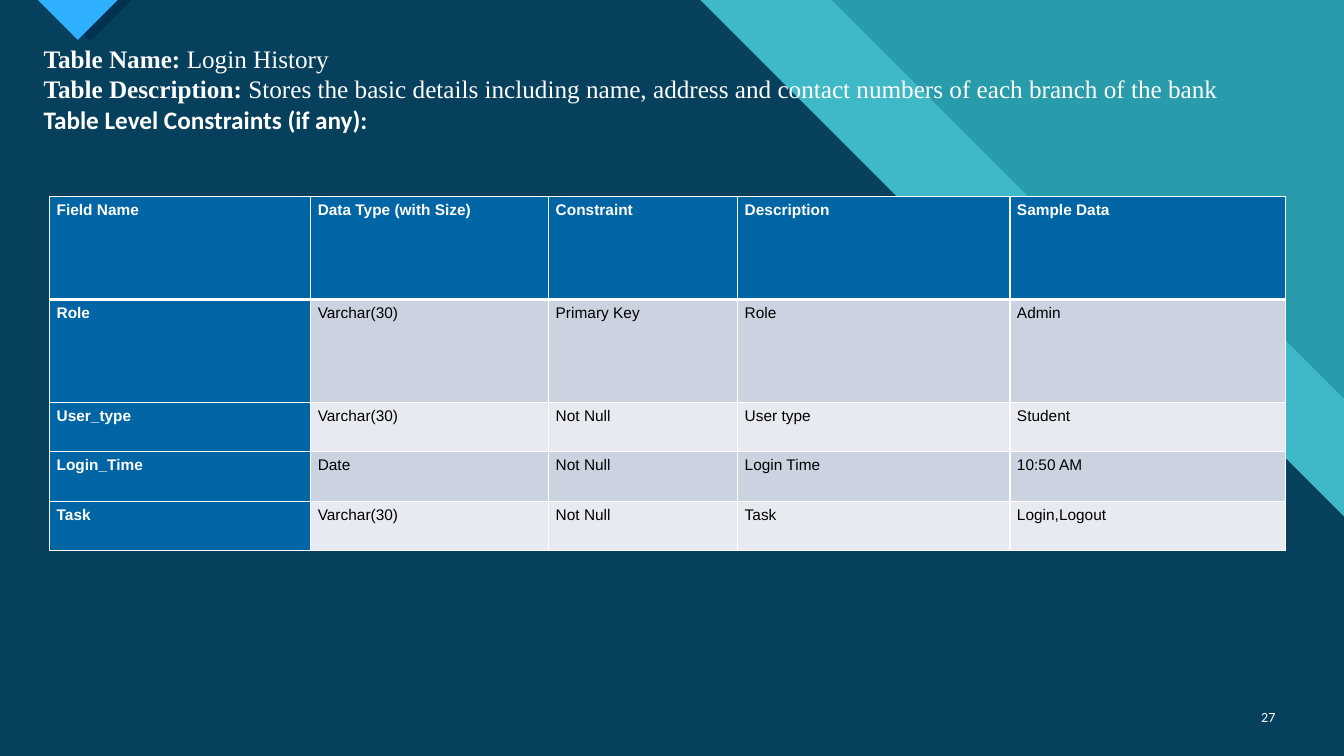
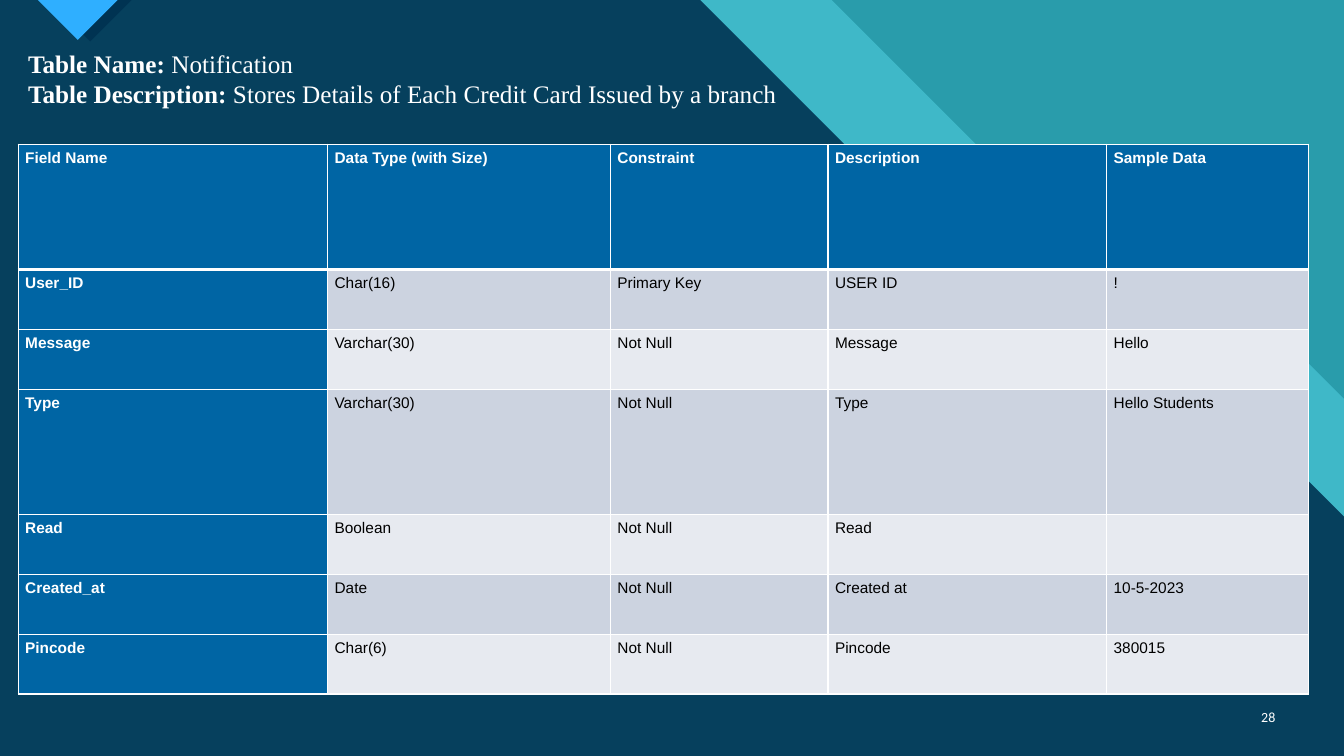
from pptx import Presentation
from pptx.dml.color import RGBColor
from pptx.enum import text
from pptx.oxml.ns import qn
from pptx.util import Pt
from lxml import etree

WIDTH, HEIGHT = 960, 540

WHITE = RGBColor(0xFF, 0xFF, 0xFF)
BLACK = RGBColor(0x00, 0x00, 0x00)
TEAL = RGBColor(0x29, 0x9C, 0xAB)
AQUA = RGBColor(0x47, 0xC3, 0xD3)
NAVY = RGBColor(0x00, 0x33, 0x52)
SKY = RGBColor(0x2F, 0xAF, 0xFF)
HEADING_BLUE = RGBColor(0x00, 0x65, 0xA4)
ROW_BANDS = (RGBColor(0xCC, 0xD3, 0xE0), RGBColor(0xE7, 0xEA, 0xF0))

SERIF, SANS, CELL_FONT = "Times New Roman", "Calibri", "Arial"

# Outline points, fill and opacity in percent, from back to front
BACKDROP = (
    ([(0, 0), (594, 0), (808, 214), (889, 214), (WIDTH, 285),
      (WIDTH, HEIGHT), (0, HEIGHT)], AQUA, 74),
    ([(0, 0), (500, 0), (714, 214), (805, 214), (WIDTH, 369),
      (WIDTH, HEIGHT), (0, HEIGHT)], NAVY, 90),
    ([(35, 0), (94, 0), (64.5, 29.5)], NAVY, 100),
    ([(27, 0), (84, 0), (55.5, 28.5)], SKY, 100),
)

HEADINGS = ("Field Name", "Data Type (with Size)", "Constraint",
            "Description", "Sample Data")
LOGIN_ROWS = (
    ("Role", "Varchar(30)", "Primary Key", "Role", "Admin"),
    ("User_type", "Varchar(30)", "Not Null", "User type", "Student"),
    ("Login_Time", "Date", "Not Null", "Login Time", "10:50 AM"),
    ("Task", "Varchar(30)", "Not Null", "Task", "Login,Logout"),
)
NOTIFICATION_ROWS = (
    ("User_ID", "Char(16)", "Primary Key", "USER ID", "!"),
    ("Message", "Varchar(30)", "Not Null", "Message", "Hello"),
    ("Type", "Varchar(30)", "Not Null", "Type", "Hello Students"),
    ("Read", "Boolean", "Not Null", "Read", ""),
    ("Created_at", "Date", "Not Null", "Created at", "10-5-2023"),
    ("Pincode", "Char(6)", "Not Null", "Pincode", "380015"),
)


def add_span(para, words, font, size, color, bold=False):
    span = para.add_run()
    span.text = words
    span.font.name = font
    span.font.size = Pt(size)
    span.font.color.rgb = color
    span.font.bold = bold


def add_polygon(slide, points, color, opacity):
    corners = [(Pt(x), Pt(y)) for x, y in points]
    builder = slide.shapes.build_freeform(*corners[0], scale=1.0)
    builder.add_line_segments(corners[1:], close=True)
    shape = builder.convert_to_shape()
    shape.shadow.inherit = False
    shape.line.fill.background()
    shape.fill.solid()
    shape.fill.fore_color.rgb = color
    if opacity < 100:
        tint = shape.element.xpath(".//a:solidFill/a:srgbClr")[0]
        etree.SubElement(tint, qn("a:alpha"), val=str(opacity * 1000))
    return shape


def dress_layout(layout, slide):
    """Draw the backdrop on a slide, then move it to the layout."""
    layout.background.fill.solid()
    layout.background.fill.fore_color.rgb = TEAL
    for holder in list(layout.placeholders):
        layout.shapes.element.remove(holder.element)
    for shape in [add_polygon(slide, *part) for part in BACKDROP]:
        layout.shapes.element.append(shape.element)


def add_box(slide, left, top, width, height, anchor):
    box = slide.shapes.add_textbox(Pt(left), Pt(top), Pt(width), Pt(height))
    box.text_frame.word_wrap = True
    box.text_frame.vertical_anchor = anchor
    return box.text_frame


def add_title(slide, left, top, width, lines):
    """Write lines of (label, value, font), with the label in bold."""
    frame = add_box(slide, left, top, width, 73, text.MSO_ANCHOR.TOP)
    for number, (label, value, font) in enumerate(lines):
        para = frame.add_paragraph() if number else frame.paragraphs[0]
        add_span(para, label, font, 18, WHITE, bold=True)
        if value:
            add_span(para, " " + value, font, 18, WHITE)


def add_page_number(slide, number):
    frame = add_box(slide, 886, 497.5, 32, 29, text.MSO_ANCHOR.MIDDLE)
    para = frame.paragraphs[0]
    para.alignment = text.PP_ALIGN.RIGHT
    add_span(para, str(number), SANS, 10, WHITE)


def set_borders(cell, **weights):
    """Draw white borders; weights go by side: L, R, T, B."""
    properties = cell._tc.get_or_add_tcPr()
    for side, weight in weights.items():
        line = etree.SubElement(properties, qn("a:ln" + side), w=str(Pt(weight)))
        fill = etree.SubElement(line, qn("a:solidFill"))
        etree.SubElement(fill, qn("a:srgbClr"), val=str(WHITE))


def fill_cell(cell, words, row, column):
    is_heading = row == 0 or column == 0
    set_borders(cell, L=1, R=1, T=3 if row == 1 else 1, B=3 if row == 0 else 1)
    cell.fill.solid()
    cell.fill.fore_color.rgb = HEADING_BLUE if is_heading else ROW_BANDS[(row - 1) % 2]
    cell.margin_left = cell.margin_right = Pt(5)
    cell.margin_top = cell.margin_bottom = Pt(0)
    if words:
        para = cell.text_frame.paragraphs[0]
        para.line_spacing = 1.3
        para.space_after = Pt(8)
        add_span(para, words, CELL_FONT, 11, WHITE if is_heading else BLACK, is_heading)


def add_field_table(slide, left, top, widths, heights, body):
    rows = (HEADINGS, *body)
    table = slide.shapes.add_table(
        len(rows), len(widths), Pt(left), Pt(top),
        Pt(sum(widths)), Pt(sum(heights))).table
    table.first_col = True
    for column, width in zip(table.columns, widths):
        column.width = Pt(width)
    for row, height in zip(table.rows, heights):
        row.height = Pt(height)
    for row, entries in enumerate(rows):
        for column, words in enumerate(entries):
            fill_cell(table.cell(row, column), words, row, column)


def main():
    deck = Presentation()
    deck.slide_width, deck.slide_height = Pt(WIDTH), Pt(HEIGHT)
    blank = deck.slide_layouts[6]

    login = deck.slides.add_slide(blank)
    dress_layout(blank, login)
    add_title(login, 24, 27.5, 862, (
        ("Table Name:", "Login History", SERIF),
        ("Table Description:", "Stores the basic details including name, address "
         "and contact numbers of each branch of the bank", SERIF),
        ("Table Level Constraints (if any): ", "", SANS),
    ))
    add_field_table(login, 35.5, 140.5, (186.5, 170, 135, 194.5, 197),
                    [73.5] * 2 + [35.25] * 3, LOGIN_ROWS)
    add_page_number(login, 27)

    notification = deck.slides.add_slide(blank)
    add_field_table(notification, 13, 103, (221, 202, 155.5, 199, 144),
                    [89.5, 42.75, 42.75, 89.5] + [42.75] * 3, NOTIFICATION_ROWS)
    add_title(notification, 13, 31, 555, (
        ("Table Name:", "Notification", SERIF),
        ("Table Description:",
         "Stores Details of Each Credit Card Issued by a branch", SERIF),
    ))
    add_page_number(notification, 28)

    deck.save("out.pptx")


if __name__ == "__main__":
    main()
